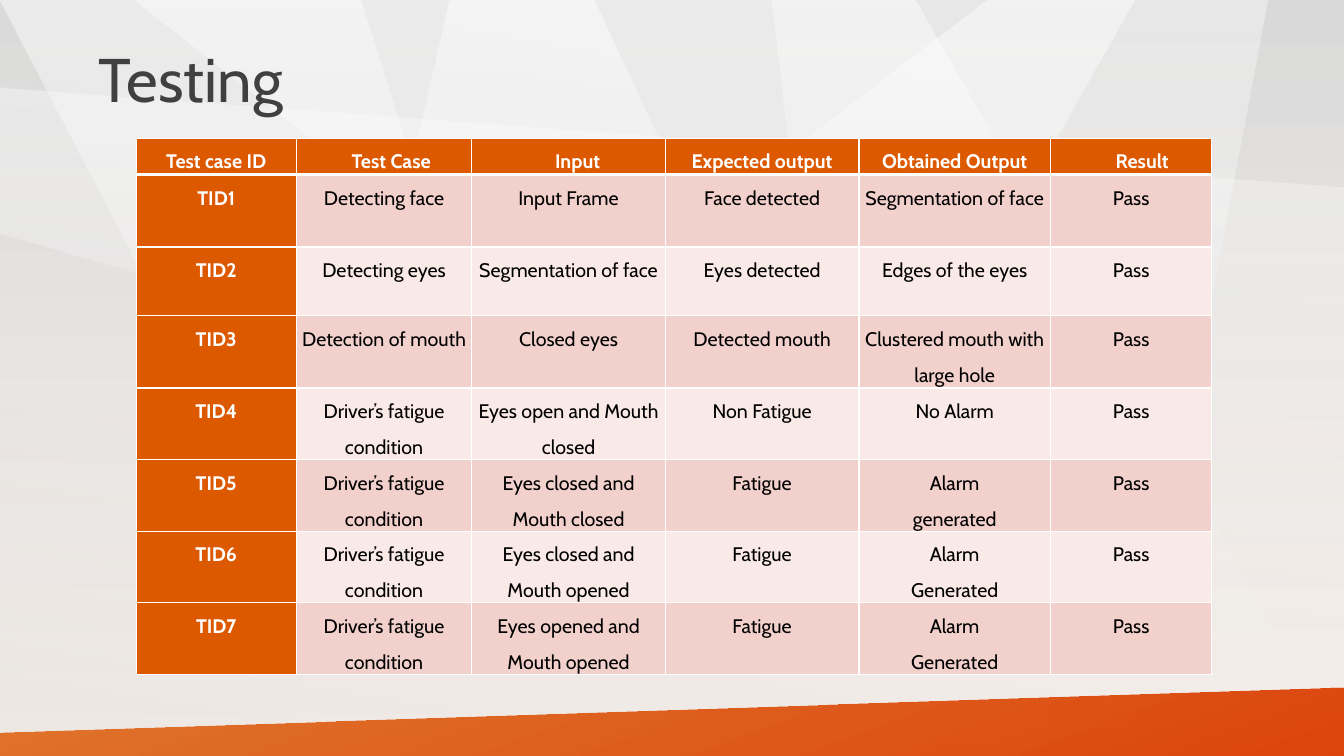
from dataclasses import dataclass

from lxml.etree import SubElement
from pptx import Presentation
from pptx.dml.color import RGBColor as RGB
from pptx.enum.shapes import MSO_SHAPE as SHAPE
from pptx.enum.text import MSO_ANCHOR as ANCHOR, MSO_AUTO_SIZE as FIT, PP_ALIGN as ALIGN
from pptx.oxml.ns import qn
from pptx.util import Inches, Pt

# Content
TITLE = "Testing"
HEADER = ["Test case ID", "Test Case", "Input", "Expected output", "Obtained Output", "Result"]
FATIGUE_CASE = "Driver’s fatigue condition"
CASES = [
    ("Detecting face", "Input Frame", "Face detected", "Segmentation of face"),
    ("Detecting eyes", "Segmentation of face", "Eyes detected", "Edges of the eyes"),
    ("Detection of mouth", "Closed eyes", "Detected mouth", "Clustered mouth with large hole"),
    (FATIGUE_CASE, "Eyes open and Mouth closed", "Non Fatigue", "No Alarm"),
    (FATIGUE_CASE, "Eyes closed and Mouth closed", "Fatigue", "Alarm\ngenerated"),
    (FATIGUE_CASE, "Eyes closed and Mouth opened", "Fatigue", "Alarm\nGenerated"),
    (FATIGUE_CASE, "Eyes opened and Mouth opened", "Fatigue", "Alarm\nGenerated"),
]
ROWS = [HEADER] + [(f"TID{i}", *case, "Pass") for i, case in enumerate(CASES, 1)]

# Table geometry in inches
COL_WIDTHS = [1.59, 1.74, 1.92, 1.92, 1.9, 1.6]
ROW_HEIGHTS = [0.36, 0.72, 0.68, 0.72] + [0.68] * 4
HEADER_INDENTS = [0, 0.14, 0.18, 0, 0, 0.22]
WIDE_INSET_ROWS = (5, 7)

# Background rays: opacity at the top, then corner points in inches
RAYS = [
    (50, [(9.79, 0), (0, 7.5), (7.01, 7.5), (11.25, 0)]),
    (50, [(0, 0), (3.58, 0), (5.94, 7.5), (3.91, 7.5)]),
    (50, [(1.32, 0), (9.07, 0), (13.33, 7.5), (10.83, 7.5)]),
    (40, [(7.65, 0), (8.56, 7.5), (11.15, 7.5), (12.57, 0)]),
    (50, [(5.89, 0), (4.46, 0), (2.72, 7.5), (9.39, 7.5)]),
    (40, [(0, 0.87), (13.33, 1.86), (13.33, 6.1), (0, 2.32)]),
]
FOOTER = [(0, 7.27), (13.33, 6.82), (13.33, 7.5), (0, 7.5)]


@dataclass(frozen=True)
class Theme:
    font: str = "Cabin"
    title_size: int = 44
    cell_size: int = 14
    title: str = "404040"
    text: str = "000000"
    white: str = "FFFFFF"
    accent: str = "DD5900"
    accent_deep: str = "DC3C00"
    bands: tuple = ("F9EAE7", "F2D1CC")
    page: tuple = ("D9D9D9", "FCF5EF")
    shade: str = "BFBFBF"


T = Theme()


def set_gradient(fill, element, stops, angle):
    """Fill with (colour, opacity percent) stops, angle clockwise."""
    fill.gradient()
    fill.gradient_angle = 360 - angle
    for stop, (color, _) in zip(fill.gradient_stops, stops):
        stop.color.rgb = RGB.from_string(color)
    for node, (_, opacity) in zip(element.iter(qn("a:srgbClr")), stops):
        if opacity < 100:
            SubElement(node, qn("a:alpha"), val=str(opacity * 1000))


def style_panel(sp, stops, angle):
    sp.shadow.inherit = False
    sp.line.fill.background()
    set_gradient(sp.fill, sp.element, stops, angle)


def add_polygon(shapes, points, stops, angle):
    start, *rest = [(Inches(x), Inches(y)) for x, y in points]
    builder = shapes.build_freeform(*start)
    builder.add_line_segments(rest, close=True)
    style_panel(builder.convert_to_shape(), stops, angle)


def add_run(p, text, size, color, bold=False):
    r = p.add_run()
    r.text = text
    r.font.name = T.font
    r.font.size = Pt(size)
    r.font.bold = bold
    r.font.color.rgb = RGB.from_string(color)


def set_borders(cell, **widths):
    props = cell._tc.get_or_add_tcPr()
    for side in "LRTB":
        line = SubElement(props, qn(f"a:ln{side}"), w=str(Pt(widths.get(side, 1))))
        SubElement(SubElement(line, qn("a:solidFill")), qn("a:srgbClr"), val=T.white)


def fill_cell(cell, text, row, col):
    strong = row == 0 or col == 0
    inset = 0.07 if row in WIDE_INSET_ROWS else 0.05
    indent = HEADER_INDENTS[col] if row == 0 else 0
    cell.margin_left, cell.margin_right = Inches(inset + indent), Inches(inset)
    cell.margin_top = cell.margin_bottom = 0
    set_borders(cell, T=3 if row == 1 else 1, B=3 if row == 0 else 1)
    cell.fill.solid()
    cell.fill.fore_color.rgb = RGB.from_string(T.accent if strong else T.bands[row % 2])
    tf = cell.text_frame
    for i, line in enumerate(text.split("\n")):
        p = tf.add_paragraph() if i else tf.paragraphs[0]
        p.alignment = ALIGN.CENTER
        p.line_spacing = 1.5
        add_run(p, line, T.cell_size, T.white if strong else T.text, strong)


prs = Presentation()
prs.slide_width, prs.slide_height = Inches(13.33), Inches(7.5)
s = prs.slides.add_slide(prs.slide_layouts[5])

# Background, rays, shade and footer
set_gradient(s.background.fill, s.element, [(T.page[0], 50), (T.page[1], 100)], 90)
rays = s.shapes.add_group_shape()
for opacity, points in RAYS:
    add_polygon(rays.shapes, points, [(T.white, opacity), (T.white, 0)], 90)
shade = s.shapes.add_shape(SHAPE.RECTANGLE, 0, 0, prs.slide_width, prs.slide_height)
style_panel(shade, [(T.shade, 25), (T.white, 0)], 280)
add_polygon(s.shapes, FOOTER, [(T.accent, 80), (T.accent_deep, 95)], 70)

# Title, brought in front of the background
title = s.shapes.title
title.element.getparent().append(title.element)
title.left, title.top = Inches(0.88), Inches(0.09)
title.width, title.height = Inches(11.5), Inches(1.45)
tf = title.text_frame
tf.word_wrap = True
tf.auto_size = FIT.NONE
tf.vertical_anchor = ANCHOR.MIDDLE
p = tf.paragraphs[0]
p.alignment = ALIGN.LEFT
p.line_spacing = 0.9
add_run(p, TITLE, T.title_size, T.title)

# Test case table
table = s.shapes.add_table(
    len(ROWS), len(HEADER), Inches(1.35), Inches(1.37),
    Inches(sum(COL_WIDTHS)), Inches(sum(ROW_HEIGHTS)),
).table
table.first_col = True
for column, width in zip(table.columns, COL_WIDTHS):
    column.width = Inches(width)
for i, (values, height) in enumerate(zip(ROWS, ROW_HEIGHTS)):
    table.rows[i].height = Inches(height)
    for j, text in enumerate(values):
        fill_cell(table.cell(i, j), text, i, j)

prs.save("out.pptx")
